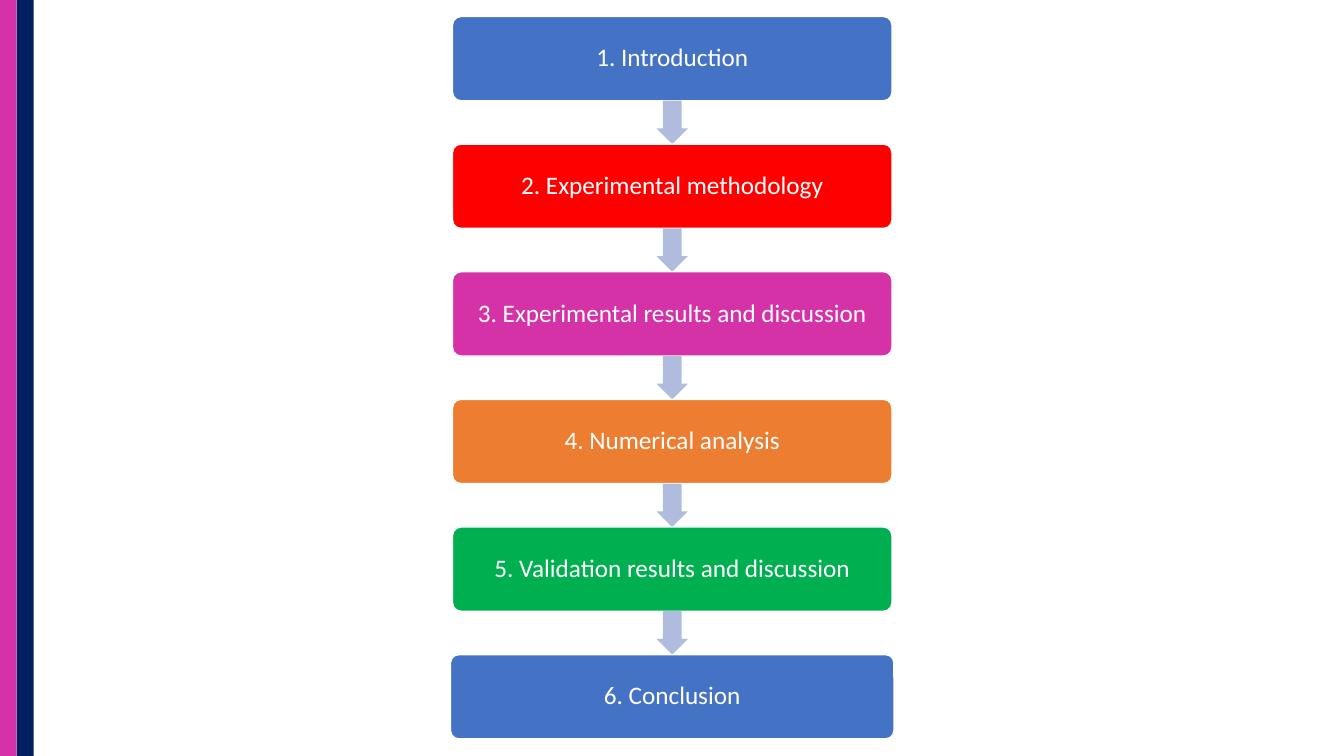
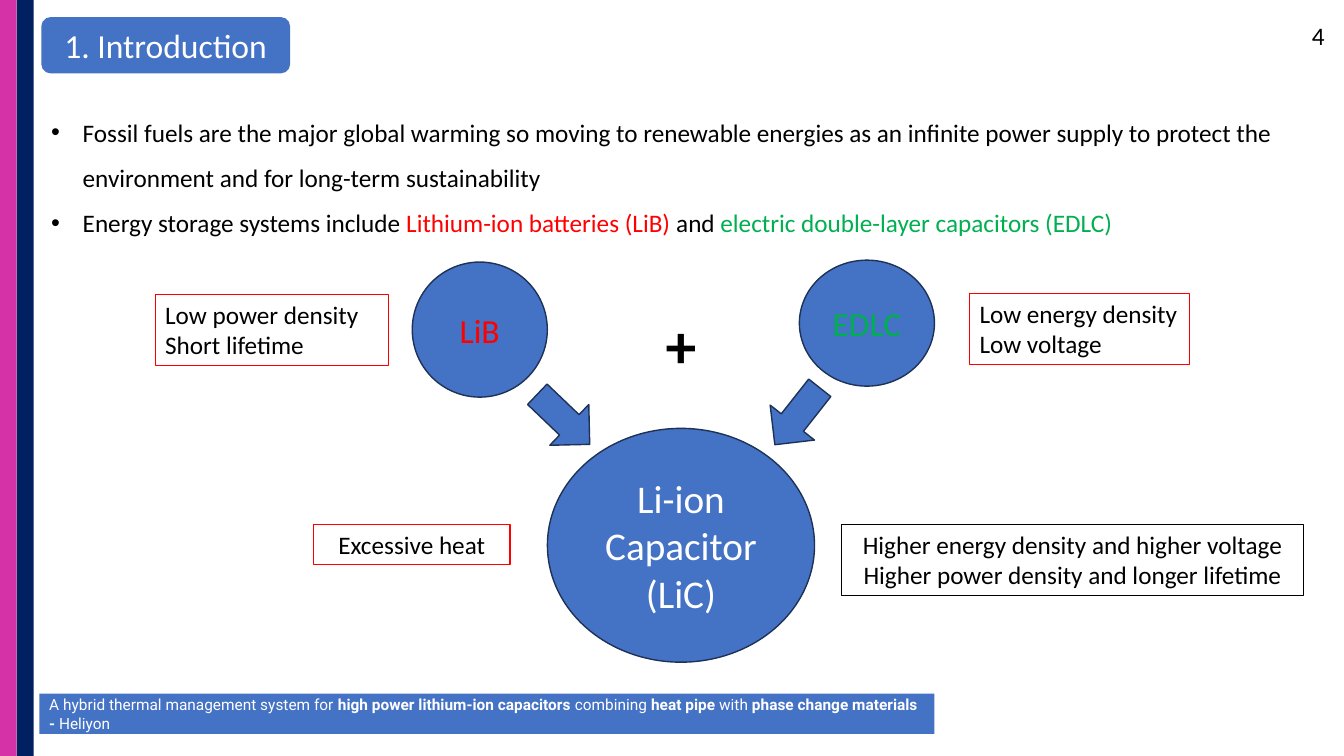
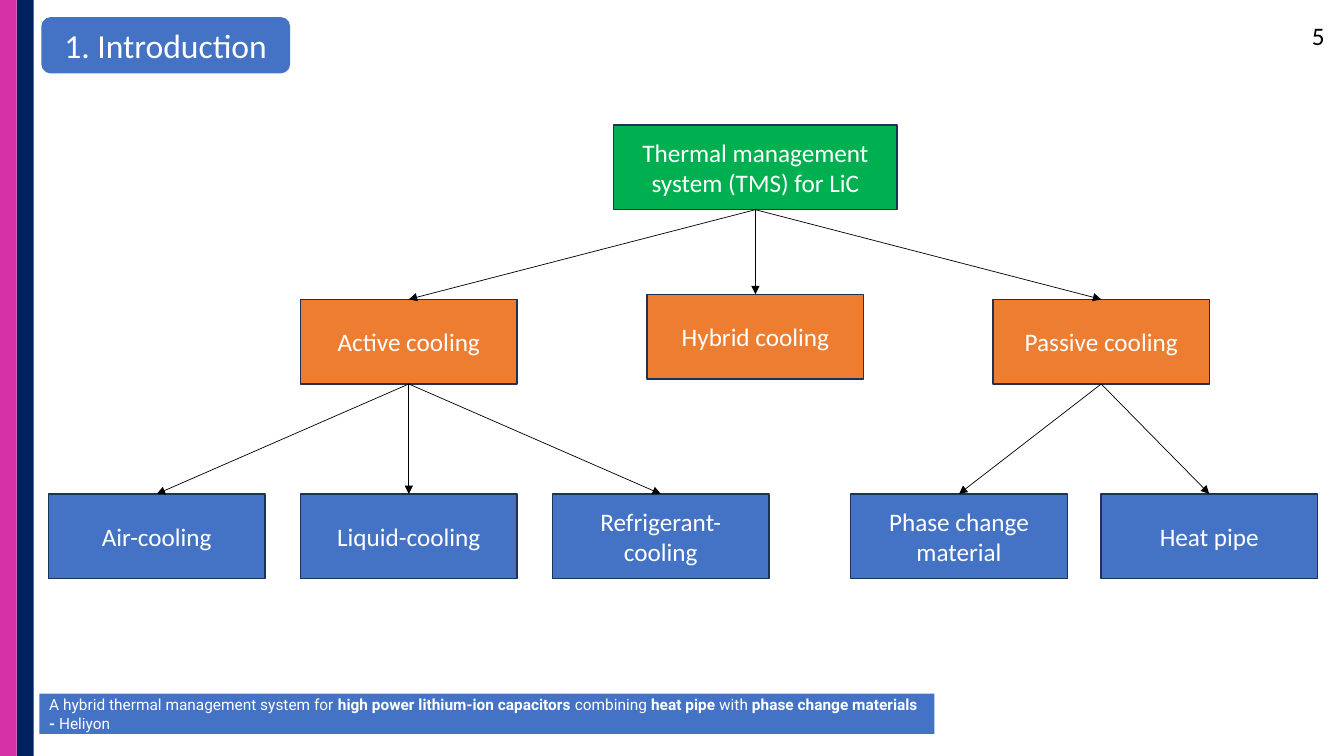
from lxml import etree
from pptx import Presentation
from pptx.dml.color import RGBColor
from pptx.enum.shapes import MSO_CONNECTOR, MSO_SHAPE as SHAPE
from pptx.enum.text import MSO_ANCHOR as ANCHOR, PP_ALIGN as ALIGN
from pptx.oxml.ns import qn
from pptx.util import Pt

COLORS = {
    "blue": "4472C4", "red": "FF0000", "pink": "D632A7", "orange": "ED7D31",
    "green": "00B050", "navy": "002060", "outline": "1E3256",
    "arrow": "B0BCDE", "white": "FFFFFF", "black": "000000",
}
WHITE_TEXT = {"name": "Calibri", "size": Pt(18), "color": "white"}
BLACK_TEXT = {**WHITE_TEXT, "color": "black"}
TITLE_TEXT = {**WHITE_TEXT, "size": Pt(24)}
FOOTER_TEXT = {**WHITE_TEXT, "name": "Roboto", "size": Pt(11)}
CENTERED = {"alignment": ALIGN.CENTER}
LEFT = {"alignment": ALIGN.LEFT}


def add_block(slide, kind, frame, paragraphs=(), font=WHITE_TEXT, layout=CENTERED,
              fill=None, line=None, weight=1):
    """Add a preset shape, or a text box if kind is None.

    Each paragraph is a list of (text, font changes) runs.
    """
    box = [Pt(length) for length in frame]
    if kind is None:
        block = slide.shapes.add_textbox(*box)
    else:
        block = slide.shapes.add_shape(kind, *box)
        block.shadow.inherit = False
    if fill:
        block.fill.solid()
        block.fill.fore_color.rgb = RGBColor.from_string(COLORS[fill])
    if line:
        block.line.color.rgb = RGBColor.from_string(COLORS[line])
        block.line.width = Pt(weight)
    else:
        block.line.fill.background()

    text = block.text_frame
    text.word_wrap = True
    text.vertical_anchor = ANCHOR.TOP if kind is None else ANCHOR.MIDDLE
    for number, runs in enumerate(paragraphs):
        paragraph = text.add_paragraph() if number else text.paragraphs[0]
        for name, value in layout.items():
            setattr(paragraph, name, value)
        for words, changes in runs:
            run = paragraph.add_run()
            run.text = words
            for name, value in {**font, **changes}.items():
                if name == "color":
                    run.font.color.rgb = RGBColor.from_string(COLORS[value])
                else:
                    setattr(run.font, name, value)
    return block


def add_link(slide, parent, child):
    """Draw an arrow from the bottom of parent to the top of child."""
    link = slide.shapes.add_connector(MSO_CONNECTOR.STRAIGHT, 0, 0, 0, 0)
    link.begin_connect(parent, 2)
    link.end_connect(child, 0)
    link.line.color.rgb = RGBColor.from_string(COLORS["black"])
    link.line.width = Pt(0.5)
    etree.SubElement(link.line._get_or_add_ln(), qn("a:tailEnd"), type="triangle")
    etree.SubElement(link._element.spPr, qn("a:effectLst"))


deck = Presentation()
deck.slide_width, deck.slide_height = Pt(960), Pt(540)
outline, storage, cooling = [deck.slides.add_slide(deck.slide_layouts[6]) for _ in range(3)]

# Side bands on every slide
for slide in (outline, storage, cooling):
    for left, color in ((0, "pink"), (12, "navy")):
        add_block(slide, SHAPE.RECTANGLE, (left, 0, 12, 540), fill=color)

# Title, footer and page number of the introduction
BOLD = {"bold": True}
CITATION = [
    ("A hybrid thermal management system for ", {}),
    ("high power lithium-ion capacitors", BOLD), (" combining ", {}),
    ("heat pipe", BOLD), (" with ", {}),
    ("phase change materials -", BOLD), (" Heliyon", {}),
]
for slide, page in ((storage, "4"), (cooling, "5")):
    add_block(slide, SHAPE.ROUNDED_RECTANGLE, (29.5, 12.2, 177.8, 40.3),
              [[("1. Introduction", {})]], TITLE_TEXT, fill="blue")
    add_block(slide, SHAPE.RECTANGLE, (28.1, 495.4, 639.4, 28.8),
              [CITATION], FOOTER_TEXT, LEFT, fill="blue")
    add_block(slide, None, (917.3, 10.8, 36, 28.8), [[(page, {})]],
              BLACK_TEXT, {"alignment": ALIGN.RIGHT})

# Slide 1: chain of chapters
CHAPTERS = [
    ("1. Introduction", "blue"),
    ("2.\u00a0Experimental methodology".replace("\u00a0", " "), "red"),
    ("3. Experimental results and discussion", "pink"),
    ("4. Numerical analysis", "orange"),
    ("5. Validation results and discussion", "green"),
    ("6. Conclusion", "blue"),
]
MIDDLE, FIRST_TOP, STEP, CHAPTER_HEIGHT = 480.2, 11.8, 91.16, 60.2
ARROW_WIDTH, ARROW_HEIGHT = 22.4, 31
for index, (chapter, color) in enumerate(CHAPTERS):
    top = FIRST_TOP + index * STEP
    last = index == len(CHAPTERS) - 1
    width = 316.8 if last else 313.9
    step_box = add_block(outline, SHAPE.ROUNDED_RECTANGLE,
                         (MIDDLE - width / 2, top, width, CHAPTER_HEIGHT),
                         [[(chapter, {})]], layout={**CENTERED, "line_spacing": 0.9},
                         fill=color, line="white")
    step_box.adjustments[0] = 0.1
    if not last:
        gap_middle = top + (CHAPTER_HEIGHT + STEP) / 2
        down = add_block(outline, SHAPE.DOWN_ARROW,
                         (MIDDLE - ARROW_WIDTH / 2, gap_middle - ARROW_HEIGHT / 2,
                          ARROW_WIDTH, ARROW_HEIGHT), fill="arrow")
        down.adjustments[0] = 0.6

# Slide 2: bullets
INDENT = Pt(22.5)
bullets = add_block(storage, None, (29.5, 69.1, 918, 102.2), [
    [("Fossil fuels are the major global warming so moving to renewable energies as an "
      "infinite power supply to protect the environment and for long-term sustainability", {})],
    [("Energy storage systems include ", {}),
     ("Lithium-ion batteries (LiB)", {"color": "red"}), (" and ", {}),
     ("electric double-layer capacitors (EDLC)", {"color": "green"})],
], BLACK_TEXT, {**LEFT, "line_spacing": 1.5})
for paragraph in bullets.text_frame.paragraphs:
    properties = paragraph._p.get_or_add_pPr()
    properties.set("marL", str(INDENT))
    properties.set("indent", str(-INDENT))
    etree.SubElement(properties, qn("a:buFont"), typeface="Arial")
    etree.SubElement(properties, qn("a:buChar"), char="•")

# Slide 2: two devices merge into the capacitor
DEVICES = [
    (["LiB"], (294.5, 187.2, 96.5, 96.5), 24, "red"),
    (["Li-ion Capacitor", "(LiC)"], (391, 306, 190.8, 167), 28, "white"),
    (["EDLC"], (571, 185.8, 96.5, 90), 24, "green"),
]
for lines, frame, size, color in DEVICES:
    add_block(storage, SHAPE.OVAL, frame, [[(words, {})] for words in lines],
              {**WHITE_TEXT, "size": Pt(size), "color": color}, fill="blue", line="outline")
for left, top, angle in ((376.6, 279.4, 43.7), (543.6, 277.2, 128.3)):
    merge = add_block(storage, SHAPE.RIGHT_ARROW, (left, top, 51.8, 40.3),
                      fill="blue", line="outline")
    merge.rotation = angle
add_block(storage, None, (446.4, 216, 79.9, 60.5), [[("+", BOLD)]],
          {**BLACK_TEXT, "size": Pt(44)})

# Slide 2: notes beside the devices
NOTES = [
    (["Higher energy density and higher voltage", "Higher power density and longer lifetime"],
     (601.2, 374.4, 329.8, 51.1), CENTERED, "black"),
    (["Low power density", "Short lifetime"], (110.9, 210.2, 166.3, 51.1), LEFT, "red"),
    (["Low energy density", "Low voltage"], (692.6, 209.5, 157, 51.1), LEFT, "red"),
    (["Excessive heat"], (223.9, 374.4, 140.4, 28.8), CENTERED, "red"),
]
for lines, frame, layout, color in NOTES:
    add_block(storage, None, frame, [[(words, {})] for words in lines],
              BLACK_TEXT, layout, line=color, weight=0.75)

# Slide 3: tree of cooling methods, each entry with its parent, centre and top
ROOT = "Thermal management system (TMS) for LiC"
METHODS = [
    (ROOT, None, 539.6, 89.3, "green"),
    ("Active cooling", ROOT, 292, 213.8, "orange"),
    ("Hybrid cooling", ROOT, 539.6, 210.2, "orange"),
    ("Passive cooling", ROOT, 786.6, 213.8, "orange"),
    ("Air-cooling", "Active cooling", 112, 352.8, "blue"),
    ("Liquid-cooling", "Active cooling", 292, 352.8, "blue"),
    ("Refrigerant- cooling", "Active cooling", 472, 352.8, "blue"),
    ("Phase change material", "Passive cooling", 685, 352.8, "blue"),
    ("Heat pipe", "Passive cooling", 863.8, 352.8, "blue"),
]
nodes = {}
for method, parent, center, top, color in METHODS:
    width = 154.8 if parent else 202.4
    nodes[method] = add_block(cooling, SHAPE.RECTANGLE, (center - width / 2, top, width, 60.5),
                              [[(method, {})]], fill=color, line="outline")
    if parent:
        add_link(cooling, nodes[parent], nodes[method])

deck.save("out.pptx")
